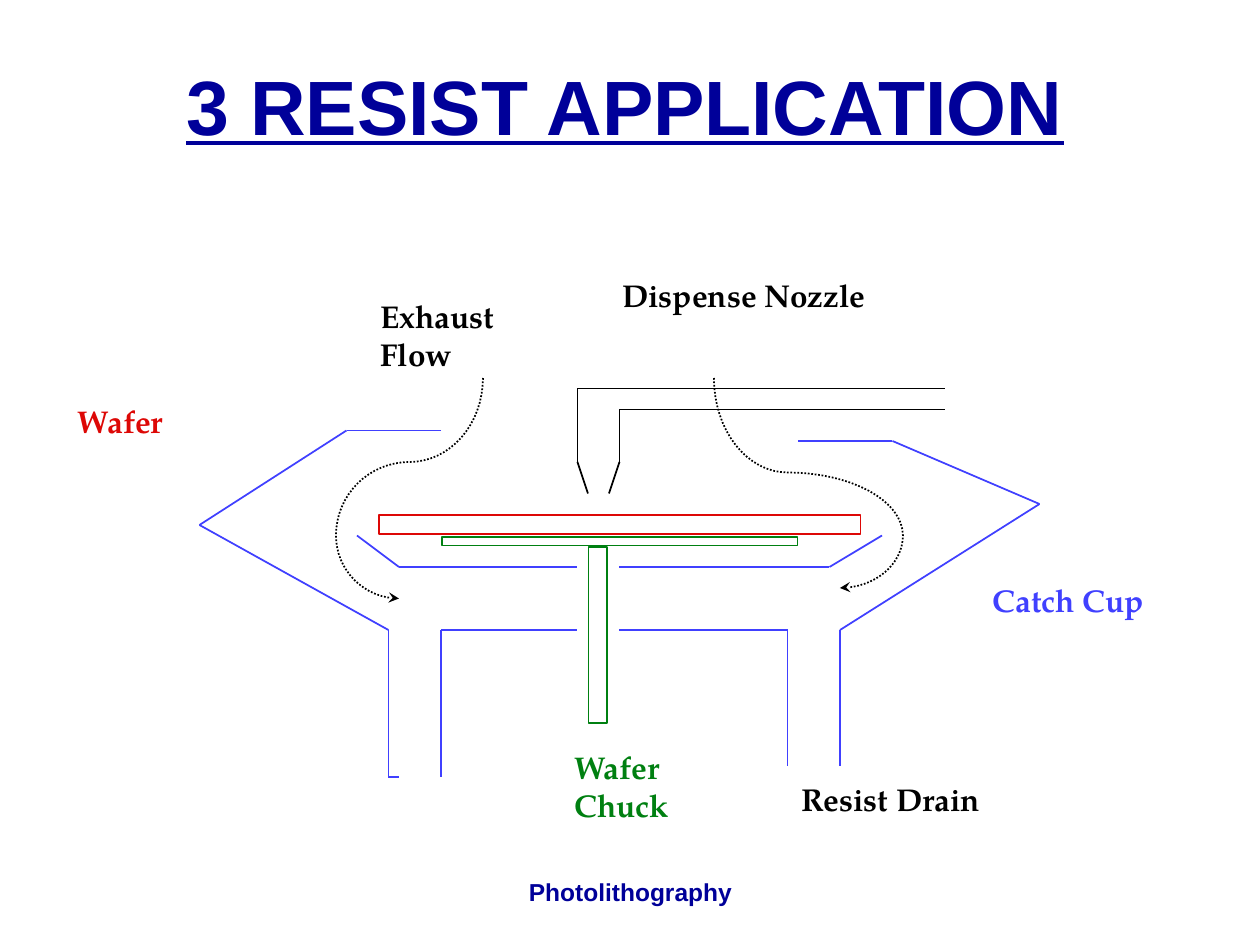
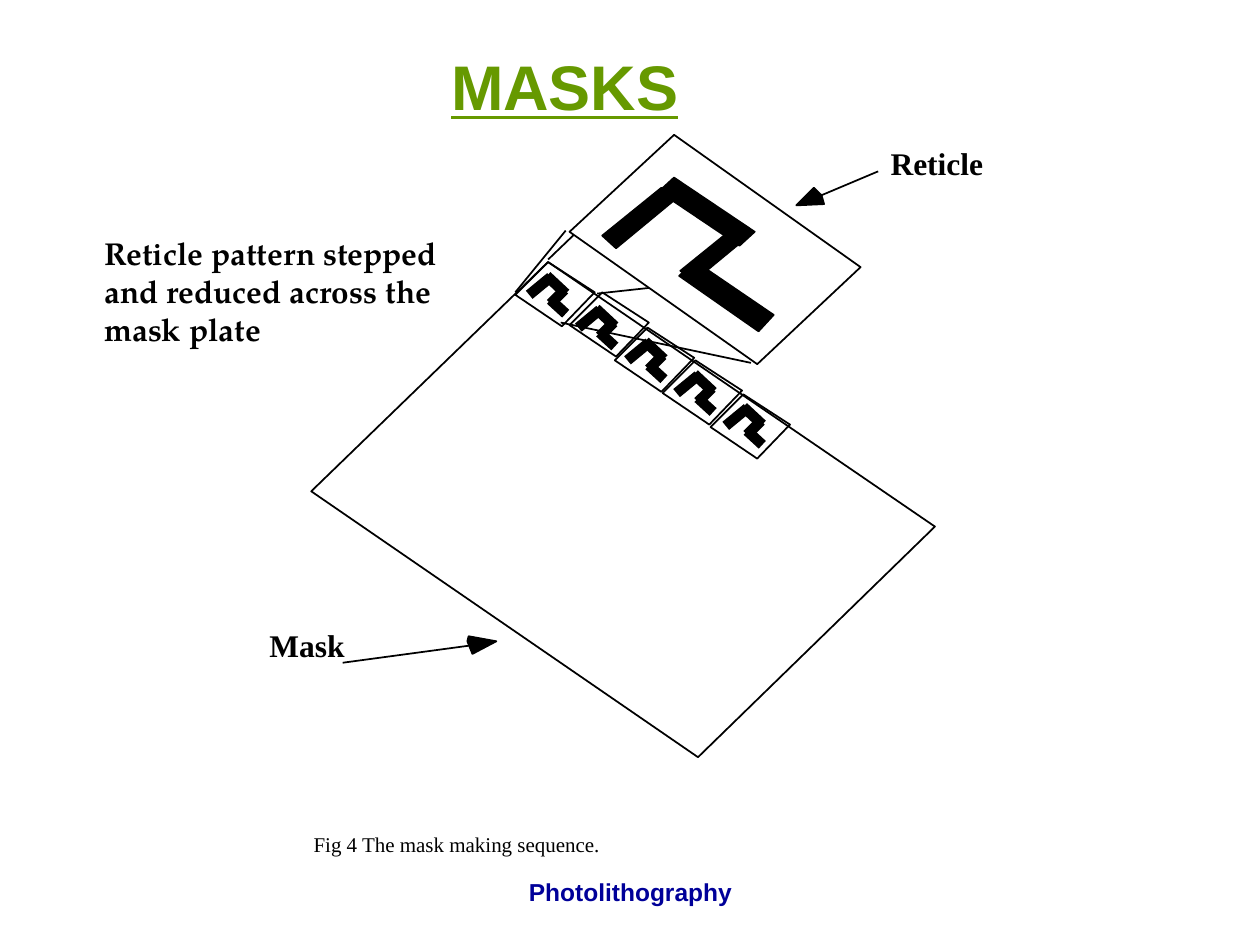
from dataclasses import dataclass
from math import cos, pi, sin

from lxml.etree import SubElement as Sub
from pptx import Presentation as Deck
from pptx.dml.color import RGBColor as Rgb
from pptx.enum.dml import MSO_LINE as Dash
from pptx.enum.shapes import MSO_CONNECTOR as Link, MSO_SHAPE as Kind
from pptx.enum.text import MSO_ANCHOR as Anchor, MSO_AUTO_SIZE as Fit, PP_ALIGN as Align
from pptx.oxml.ns import qn
from pptx.util import Cm, Pt


@dataclass(frozen=True)
class Theme:
    black: Rgb = Rgb(0, 0, 0)
    white: Rgb = Rgb(255, 255, 255)
    navy: Rgb = Rgb.from_string("000099")
    lime: Rgb = Rgb.from_string("669900")
    blue: Rgb = Rgb.from_string("4040FF")
    green: Rgb = Rgb.from_string("008011")
    red: Rgb = Rgb.from_string("DD0806")
    sans: str = "Arial"
    book: str = "TeX Gyre Pagella"
    roman: str = "Times New Roman"
    head: int = 44
    sub: int = 36
    label: int = 18
    foot: int = 14
    note: int = 12


look = Theme()
inch = Cm(2.54)
grid = inch / 12


def wire(page, dots, unit, tint=look.black, wide=1):
    for start, end in zip(dots, dots[1:]):
        ends = [round(v * unit) for v in (*start, *end)]
        line = page.shapes.add_connector(Link.STRAIGHT, *ends)
        line.line.color.rgb = tint
        line.line.width = Pt(wide)
        Sub(line._element.spPr, qn("a:effectLst"))


def trace(page, dots, unit, fill=None, close=True):
    dots = [(x * unit, y * unit) for x, y in dots]
    pen = page.shapes.build_freeform(*dots[0])
    pen.add_line_segments(dots[1:], close=close)
    form = pen.convert_to_shape()
    form.shadow.inherit = False
    form.line.color.rgb = look.black
    form.line.width = Pt(1)
    if fill is None:
        form.fill.background()
    else:
        form.fill.solid()
        form.fill.fore_color.rgb = fill
    return form


deck = Deck()
deck.slide_width, deck.slide_height = Cm(25.4), Cm(19.05)
plan = deck.slide_layouts[5]
resist = deck.slides.add_slide(plan)
masks = deck.slides.add_slide(plan)

for place, tint in (
    ((3.51, 4.26, 2.82, 0.07), look.green),
    ((3.01, 4.09, 3.82, 0.15), look.red),
    ((4.67, 4.34, 0.15, 1.4), look.green),
):
    part = resist.shapes.add_shape(Kind.RECTANGLE, *[round(v * inch) for v in place])
    part.shadow.inherit = False
    part.fill.solid()
    part.fill.fore_color.rgb = look.white
    part.line.color.rgb = tint
    part.line.width = Pt(1)

nozzle = [
    [(56, 47), (55, 44), (55, 37), (90, 37)],
    [(58, 47), (59, 44), (59, 39), (90, 39)],
]
cup = [
    [(34, 51), (38, 54), (55, 54)],
    [(59, 54), (79, 54), (84, 51)],
    [(42, 41), (33, 41), (19, 50), (37, 60), (37, 74), (38, 74)],
    [(42, 74), (42, 60), (55, 60)],
    [(59, 60), (75, 60), (75, 73)],
    [(76, 42), (85, 42), (99, 48), (80, 60), (80, 73)],
]
for dots in nozzle:
    wire(resist, dots, grid)
for dots in cup:
    wire(resist, dots, grid, look.blue)

flows = [
    [(46, 36), (39, 44), (32, 51), (38, 57)],
    [(68, 36), (75, 45), (86, 51), (80, 56)],
]
steps = 16
for knots in flows:
    curve = [knots[0]]
    for turn, ((x, y), (u, v)) in enumerate(zip(knots, knots[1:])):
        for step in range(1, steps + 1):
            angle = step / steps * pi / 2
            slow, fast = 1 - cos(angle), sin(angle)
            if turn == 1:
                slow, fast = fast, slow
            curve.append((x + (u - x) * slow, y + (v - y) * fast))
    flow = trace(resist, curve, grid, close=False)
    flow.line.dash_style = Dash.ROUND_DOT
    Sub(flow._element.spPr.find(qn("a:ln")), qn("a:tailEnd"), type="stealth")

for dots in (
    [(5.32, 1.13), (4.35, 2.06)],
    [(4.74, 2.33), (6.76, 2.11)],
):
    wire(masks, dots, inch)

trace(masks, [(5.35, 1.07), (4.52, 1.84), (6.01, 2.89), (6.83, 2.12)], inch, look.white)
trace(masks, [(4.35, 2.08), (2.47, 3.9), (5.54, 6.01), (7.42, 4.18)], inch)

bars = [
    [(4.78, 1.87), (4.89, 1.97), (5.35, 1.59), (5.25, 1.49)],
    [(5.35, 1.41), (5.23, 1.52), (5.87, 1.95), (5.99, 1.84)],
    [(5.4, 2.15), (5.51, 2.23), (5.97, 1.85), (5.87, 1.77)],
    [(5.51, 2.07), (5.39, 2.19), (6.02, 2.63), (6.14, 2.5)],
]
tips = [
    [(6.46, 1.49), (6.52, 1.55), (6.54, 1.62), (6.32, 1.63)],
    [(3.75, 5.19), (3.71, 5.09), (3.72, 5.05), (3.94, 5.09)],
]
for dots in bars + tips:
    trace(masks, dots, inch, look.black)

tile = [(0, 0), (-0.26, 0.26), (0.11, 0.51), (0.37, 0.24)]
strokes = [
    [(0, 0), (-0.17, 0.14)],
    [(-0.03, -0.01), (0.12, 0.13)],
    [(0.11, 0.1), (0, 0.21)],
    [(0, 0.18), (0.12, 0.29)],
]
tops = [(4.35, 2.08), (4.78, 2.32), (5.14, 2.6), (5.52, 2.86), (5.9, 3.13)]
for step, (x, y) in enumerate(tops):
    trace(masks, [(x + a, y + b) for a, b in tile], inch)
    left, top = 4.37 + 0.39 * step, 2.2 + 0.26 * step
    for stroke in strokes:
        wire(masks, [(left + a, top + b) for a, b in stroke], inch, wide=6)

for dots in (
    [(4.49, 1.83), (4.09, 2.32)],
    [(5.96, 2.88), (4.45, 2.56)],
    [(6.97, 1.36), (6.4, 1.6)],
    [(2.72, 5.26), (3.83, 5.11)],
):
    wire(masks, dots, inch)

heads = [
    (resist, (0.5, 0.25, 8.92, 1.25), "3 RESIST APPLICATION", look.head, look.navy, Align.CENTER),
    (masks, (3.48, 0.33, 2.01, 0.7), "MASKS", look.sub, look.lime, Align.LEFT),
]
for page, place, words, size, tint, align in heads:
    title = page.shapes.title
    title.left, title.top, title.width, title.height = [round(v * inch) for v in place]
    frame = title.text_frame
    frame.auto_size = Fit.NONE
    frame.word_wrap = align == Align.CENTER
    frame.vertical_anchor = Anchor.MIDDLE
    para = frame.paragraphs[0]
    para.alignment = align
    para.line_spacing = 0.9 if align == Align.CENTER else 1.0
    run = para.add_run()
    run.text = words
    run.font.name, run.font.size = look.sans, Pt(size)
    run.font.bold = run.font.underline = True
    run.font.color.rgb = tint

book = (look.book, look.label, True)
roman = (look.roman, look.label, True)
note = (look.roman, look.note, False)
foot = (look.sans, look.foot, True)
mark = ((3.42, 6.83, 3.17, 0.5), ["Photolithography"], foot, look.navy)
texts = [
    (resist, *mark),
    (resist, (4.84, 2.14, 2.25, 0.4), ["Dispense Nozzle"], book, look.black),
    (resist, (7.78, 4.56, 1.48, 0.4), ["Catch Cup"], book, look.blue),
    (resist, (4.46, 5.89, 0.99, 0.7), ["Wafer", "Chuck"], book, look.green),
    (resist, (6.26, 6.14, 1.75, 0.4), ["Resist Drain"], book, look.black),
    (resist, (2.92, 2.31, 1.3, 0.7), ["Exhaust", "Flow"], book, look.black),
    (resist, (0.52, 3.14, 0.99, 0.4), ["Wafer"], book, look.red),
    (masks, *mark),
    (masks, (2.39, 6.55, 2.48, 0.3), ["Fig 4 The mask making sequence."], note, look.black),
    (masks, (6.97, 1.09, 0.94, 0.4), ["Reticle"], roman, look.black),
    (masks, (2.04, 4.92, 0.8, 0.4), ["Mask"], roman, look.black),
    (
        masks,
        (0.73, 1.81, 3.2, 1),
        ["Reticle pattern stepped", "and reduced across the", "mask plate"],
        book,
        look.black,
    ),
]
for page, place, lines, (face, size, bold), tint in texts:
    box = page.shapes.add_textbox(*[round(v * inch) for v in place])
    frame = box.text_frame
    frame.word_wrap = False
    centred = face == look.sans
    frame.auto_size = Fit.NONE if centred else Fit.SHAPE_TO_FIT_TEXT
    frame.vertical_anchor = Anchor.MIDDLE if centred else Anchor.TOP
    for row, words in enumerate(lines):
        para = frame.add_paragraph() if row else frame.paragraphs[0]
        para.alignment = Align.CENTER if centred else Align.LEFT
        run = para.add_run()
        run.text = words
        run.font.name, run.font.size, run.font.bold = face, Pt(size), bold
        run.font.color.rgb = tint

deck.save("out.pptx")
